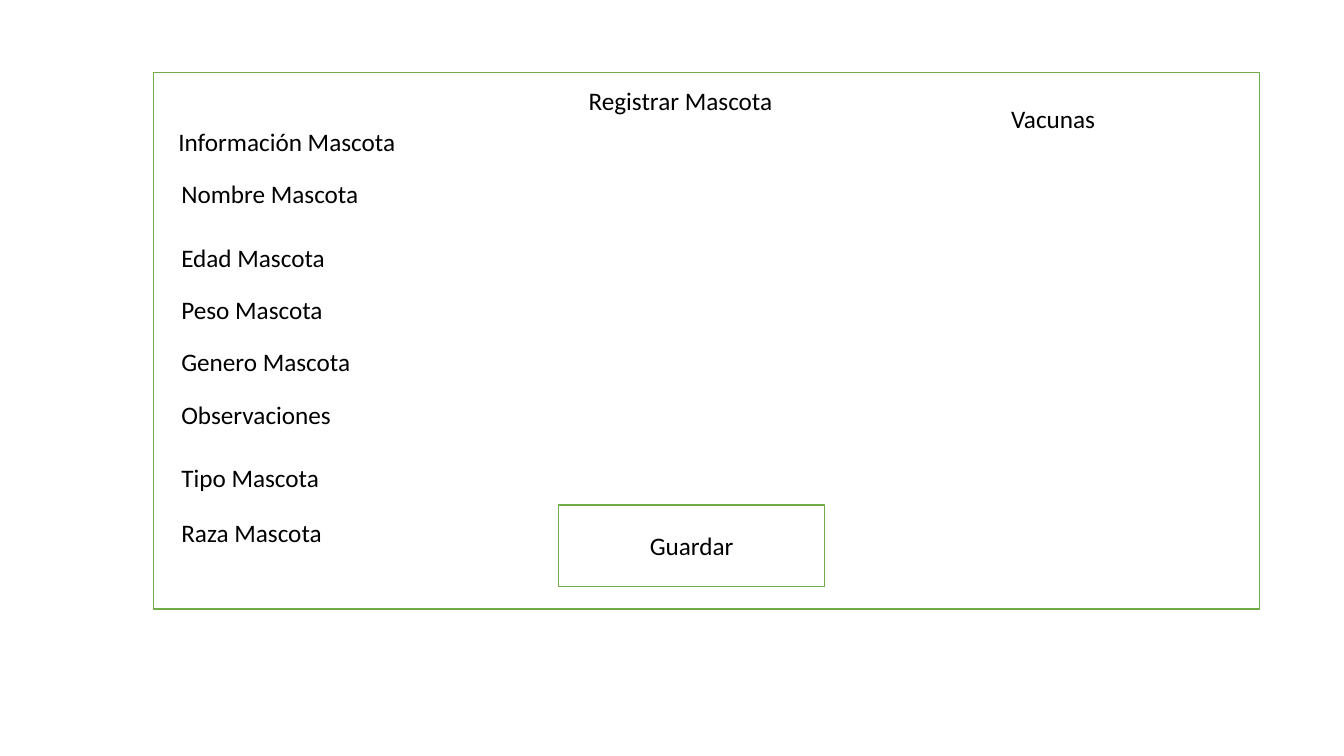
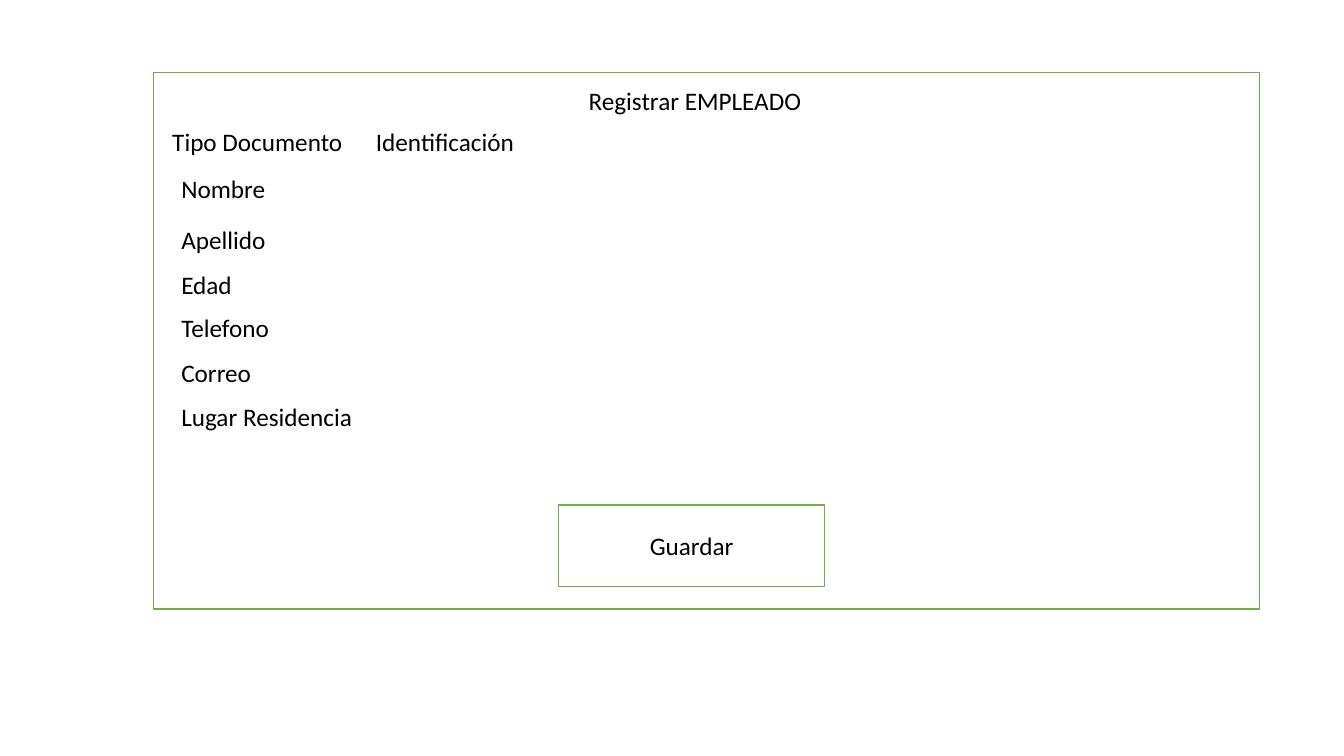
"""Two form mock-ups: pet registration and employee registration."""
from pptx import Presentation
from pptx.dml.color import RGBColor
from pptx.enum.shapes import MSO_SHAPE
from pptx.enum.text import MSO_ANCHOR, MSO_AUTO_SIZE, PP_ALIGN
from pptx.util import Inches, Pt

COLORS = {"paper": "FFFFFF", "border": "70AD47", "text": "000000"}
FIELD_LEFT, FIELD_WIDTH, LABEL_HEIGHT = 1.7, 4.04, 0.4

FORMS = [
    {
        "title": ("Registrar Mascota", 2.04),
        "headings": [
            ("Información Mascota", 1.67, 1.2, 2.38, False),
            ("Vacunas", 9.93, 0.98, 1.05, False),
        ],
        "fields": [
            ("Nombre Mascota", 1.72),
            ("Edad Mascota", 2.36),
            ("Peso Mascota", 2.87),
            ("Genero Mascota", 3.39),
            ("Observaciones", 3.91),
            ("Tipo Mascota", 4.54),
            ("Raza Mascota", 5.08),
        ],
    },
    {
        "title": ("Registrar EMPLEADO", 2.33),
        "headings": [
            ("Tipo Documento", 1.61, 1.2, 2.02, True),
            ("Identificación", 3.63, 1.2, 1.59, False),
        ],
        "fields": [
            ("Nombre", 1.67),
            ("Apellido", 2.18),
            ("Edad", 2.62),
            ("Telefono", 3.05),
            ("Correo", 3.5),
            ("Lugar Residencia", 3.93),
        ],
    },
]


def write(tf, text):
    p = tf.paragraphs[0]
    p.text = text
    p.font.name = "Calibri"
    p.font.size = Pt(18)
    p.font.color.rgb = RGBColor.from_string(COLORS["text"])
    return p


def add_box(s, left, top, width, height):
    sp = s.shapes.add_shape(MSO_SHAPE.RECTANGLE, Inches(left), Inches(top),
                            Inches(width), Inches(height))
    sp.shadow.inherit = False
    sp.fill.solid()
    sp.fill.fore_color.rgb = RGBColor.from_string(COLORS["paper"])
    sp.line.color.rgb = RGBColor.from_string(COLORS["border"])
    sp.line.width = Pt(1)
    return sp


prs = Presentation()
prs.slide_width = Inches(13.33)
prs.slide_height = Inches(7.5)

for form in FORMS:
    s = prs.slides.add_slide(prs.slide_layouts[6])
    add_box(s, 1.52, 0.72, 10.97, 5.32)

    title, title_width = form["title"]
    labels = [(title, 5.74, 0.8, title_width, False)] + form["headings"]
    labels += [(text, FIELD_LEFT, top, FIELD_WIDTH, True) for text, top in form["fields"]]
    for text, left, top, width, wrap in labels:
        tb = s.shapes.add_textbox(Inches(left), Inches(top), Inches(width), Inches(LABEL_HEIGHT))
        tf = tb.text_frame
        tf.word_wrap = wrap
        tf.auto_size = MSO_AUTO_SIZE.SHAPE_TO_FIT_TEXT
        write(tf, text)

    button = add_box(s, 5.54, 5.01, 2.64, 0.81)
    button.text_frame.vertical_anchor = MSO_ANCHOR.MIDDLE
    write(button.text_frame, "Guardar").alignment = PP_ALIGN.CENTER

prs.save("out.pptx")
